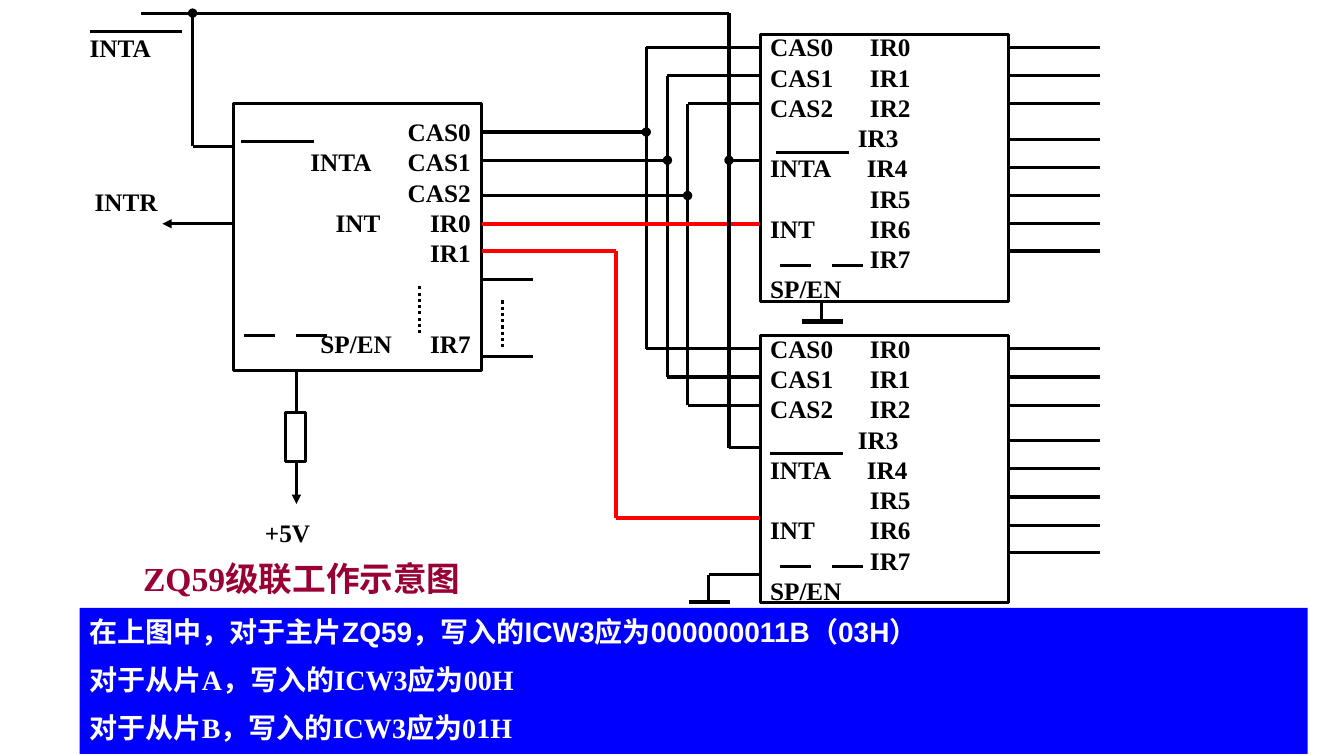
from dataclasses import dataclass

from lxml import etree
from pptx import Presentation
from pptx.dml.color import RGBColor
from pptx.enum.dml import MSO_LINE
from pptx.enum.shapes import MSO_CONNECTOR, MSO_SHAPE
from pptx.enum.text import MSO_ANCHOR, PP_ALIGN
from pptx.oxml.ns import qn
from pptx.util import Inches, Pt

RECT = MSO_SHAPE.RECTANGLE
STRAIGHT = MSO_CONNECTOR.STRAIGHT
DOTTED = MSO_LINE.ROUND_DOT
MIDDLE, TOP = MSO_ANCHOR.MIDDLE, MSO_ANCHOR.TOP
LEFT = PP_ALIGN.LEFT


@dataclass(frozen=True)
class Theme:
    black = RGBColor(0x00, 0x00, 0x00)
    white = RGBColor(0xFF, 0xFF, 0xFF)
    red = RGBColor(0xFF, 0x00, 0x00)
    blue = RGBColor(0x00, 0x00, 0xFF)
    maroon = RGBColor(0x99, 0x00, 0x33)
    serif = "Times New Roman"
    sans = "Arial"
    label = 18
    title = 24
    note = 20
    pin_pitch = 21.6
    note_pitch = 24
    wire = 2.25
    heavy = 3


T = Theme()

CHIP_W, CHIP_H = 2.46, 2.65
PIN_Y = [0.13, 0.41, 0.69, 1.04, 1.32, 1.6, 1.88, 2.15]
IR_TAB, IR3_TAB, IR4_TAB = 0.99, 0.87, 0.96
END_TAB = 2.25

SLAVE_ROWS = [
    ("CAS0\tIR0", [(IR_TAB, "l")]),
    ("CAS1\tIR1", [(IR_TAB, "l")]),
    ("CAS2\tIR2", [(IR_TAB, "l")]),
    ("\tIR3", [(IR3_TAB, "l")]),
    ("INTA\tIR4", [(IR4_TAB, "l")]),
    ("\tIR5", [(IR_TAB, "l")]),
    ("INT\tIR6", [(IR_TAB, "l")]),
    ("\tIR7", [(IR_TAB, "l")]),
    ("SP/EN", []),
]
MASTER_ROWS = [
    ("\tCAS0", [(END_TAB, "r")]),
    ("\tINTA\tCAS1", [(0.66, "l"), (END_TAB, "r")]),
    ("\tCAS2", [(END_TAB, "r")]),
    ("\tINT\tIR0", [(0.91, "l"), (END_TAB, "r")]),
    ("\tIR1", [(END_TAB, "r")]),
    ("\tSP/EN\tIR7", [(0.76, "l"), (END_TAB, "r")]),
]
NOTES = [
    ("在上图中，对于主片ZQ59，写入的ICW3应为000000011B（03H）", T.sans),
    ("对于从片A，写入的ICW3应为00H", T.serif),
    ("对于从片B，写入的ICW3应为01H", T.serif),
]


def add_wire(slide, *points, color=T.black, width=T.wire, dash=None, head=None, tail=None):
    for (x1, y1), (x2, y2) in zip(points, points[1:]):
        c = slide.shapes.add_connector(STRAIGHT, Inches(x1), Inches(y1), Inches(x2), Inches(y2))
        c.line.color.rgb = color
        c.line.width = Pt(width)
        if dash:
            c.line.dash_style = dash
        ln = c.line._get_or_add_ln()
        for tag, kind in (("a:headEnd", head), ("a:tailEnd", tail)):
            if kind:
                etree.SubElement(ln, qn(tag), type=kind)
        etree.SubElement(c._element.spPr, qn("a:effectLst"))


def add_box(slide, x, y, w, h, fill=None, line=T.black):
    sp = slide.shapes.add_shape(RECT, Inches(x), Inches(y), Inches(w), Inches(h))
    sp.shadow.inherit = False
    if fill is None:
        sp.fill.background()
    else:
        sp.fill.solid()
        sp.fill.fore_color.rgb = fill
    if line is None:
        sp.line.fill.background()
    else:
        sp.line.color.rgb = line
        sp.line.width = Pt(T.wire)
    return sp


def style(p, size, color, font=T.serif):
    p.alignment = LEFT
    for r in p.runs:
        r.font.name = font
        r.font.size = Pt(size)
        r.font.bold = True
        r.font.color.rgb = color


def add_label(slide, x, y, w, h, text, size=T.label, color=T.black):
    tf = slide.shapes.add_textbox(Inches(x), Inches(y), Inches(w), Inches(h)).text_frame
    tf.word_wrap = True
    tf.text = text
    style(tf.paragraphs[0], size, color)


def add_chip(slide, x, y, rows, bars):
    tf = add_box(slide, x, y, CHIP_W, CHIP_H).text_frame
    tf.word_wrap = True
    tf.vertical_anchor = MIDDLE
    tf.margin_top = tf.margin_bottom = 0
    tf.margin_right = Inches(0.05)
    tf.text = "\n".join(text for text, _ in rows)
    for p, (_, stops) in zip(tf.paragraphs, rows):
        p.line_spacing = Pt(T.pin_pitch)
        tabs = etree.SubElement(p._p.get_or_add_pPr(), qn("a:tabLst"))
        for pos, align in stops:
            etree.SubElement(tabs, qn("a:tab"), pos=str(Inches(pos)), algn=align)
        style(p, T.label, T.black)
    for dx, dy, length in bars:
        add_wire(slide, (x + dx, y + dy), (x + dx + length, y + dy))
    return tf


def add_slave(slide, x, y, bar_x):
    add_chip(slide, x, y, SLAVE_ROWS, [(bar_x, 1.17, 0.72), (0.2, 2.29, 0.3), (0.71, 2.29, 0.31)])
    for dy in PIN_Y:
        add_wire(slide, (x + CHIP_W, y + dy), (x + CHIP_W + 0.91, y + dy))


def add_master(slide, x, y):
    tf = add_chip(slide, x, y, MASTER_ROWS, [(0.07, 0.37, 0.72), (0.1, 2.3, 0.31), (0.62, 2.3, 0.3)])
    tf.paragraphs[-1].space_before = Pt(2 * T.pin_pitch)
    right = x + CHIP_W
    for dx, dy in ((1.84, 1.81), (2.66, 1.95)):
        add_wire(slide, (x + dx, y + dy), (x + dx, y + dy + 0.49), dash=DOTTED)
    for dy in (1.74, 2.51):
        add_wire(slide, (right, y + dy), (right + 0.51, y + dy))
    add_wire(slide, (x, y + 1.19), (x - 0.71, y + 1.19), tail="triangle")

    middle = x + 0.62
    add_wire(slide, (middle, y + CHIP_H), (middle, y + 3.06))
    add_box(slide, middle - 0.11, y + 3.06, 0.2, 0.49)
    add_wire(slide, (middle, y + 3.55), (middle, y + 3.97), tail="triangle")
    add_label(slide, x + 0.21, y + 4.05, 1.94, 0.4, "+5V")


def add_buses(slide, master, slave_a, slave_b):
    start, top = master[0] + CHIP_W, master[1]
    end, a, b = slave_a[0], slave_a[1], slave_b[1]
    for bus_x, out_y, pin_y in zip((6.41, 6.62, 6.82), (0.28, 0.56, 0.91), PIN_Y):
        add_wire(slide, (end, a + pin_y), (bus_x, a + pin_y), (bus_x, b + pin_y), (end, b + pin_y))
        add_wire(slide, (start, top + out_y), (bus_x, top + out_y), tail="oval")

    ir0, ir1, int_b = top + 1.19, top + 1.46, b + 1.81
    add_wire(slide, (start, ir0), (end, ir0), color=T.red, width=T.heavy)
    add_wire(slide, (start, ir1), (6.11, ir1), (6.11, int_b), (end, int_b), color=T.red, width=T.heavy)

    rail_x, rail_y, branch_x = end - 0.31, 0.13, 1.91
    add_wire(slide, (1.4, rail_y), (rail_x, rail_y), (rail_x, b + 1.11), (end, b + 1.11))
    add_wire(slide, (rail_x, a + 1.25), (end, a + 1.25), head="oval")
    add_wire(slide, (branch_x, top + 0.42), (branch_x, rail_y), tail="oval")
    add_wire(slide, (branch_x, top + 0.42), (master[0], top + 0.42))


def add_ground(slide, *points):
    add_wire(slide, *points)
    x, y = points[-1]
    add_wire(slide, (x - 0.2, y), (x + 0.21, y), width=T.heavy)


def add_notes(slide, x, y, w, h):
    tf = add_box(slide, x, y, w, h, fill=T.blue, line=None).text_frame
    tf.word_wrap = True
    tf.vertical_anchor = TOP
    tf.margin_top = Inches(0.07)
    tf.text = "\n".join(text for text, _ in NOTES)
    for i, (p, (_, font)) in enumerate(zip(tf.paragraphs, NOTES)):
        p.line_spacing = Pt(T.note_pitch)
        if i:
            p.space_before = Pt(10)
        style(p, T.note, T.white, font)


def main():
    prs = Presentation()
    prs.slide_width, prs.slide_height = Inches(13.33), Inches(7.5)
    s = prs.slides.add_slide(prs.slide_layouts[6])
    s.background.fill.solid()
    s.background.fill.fore_color.rgb = T.white

    master, slave_a, slave_b = (2.32, 1.03), (7.54, 0.34), (7.54, 3.33)
    add_slave(s, *slave_a, bar_x=0.16)
    add_slave(s, *slave_b, bar_x=0.1)
    add_master(s, *master)
    add_buses(s, master, slave_a, slave_b)
    add_ground(s, (8.15, 2.99), (8.15, 3.19))
    add_ground(s, (7.54, 5.7), (7.03, 5.7), (7.03, 5.97))

    add_label(s, 0.79, 0.27, 2.25, 0.4, "INTA")
    add_wire(s, (0.89, 0.31), (1.81, 0.31))
    add_label(s, 0.84, 1.8, 1.62, 0.4, "INTR")
    add_label(s, 1.32, 5.49, 5.11, 0.5, "ZQ59级联工作示意图", T.title, T.maroon)
    add_notes(s, 0.79, 6.03, 12.18, 1.45)
    prs.save("out.pptx")


if __name__ == "__main__":
    main()
